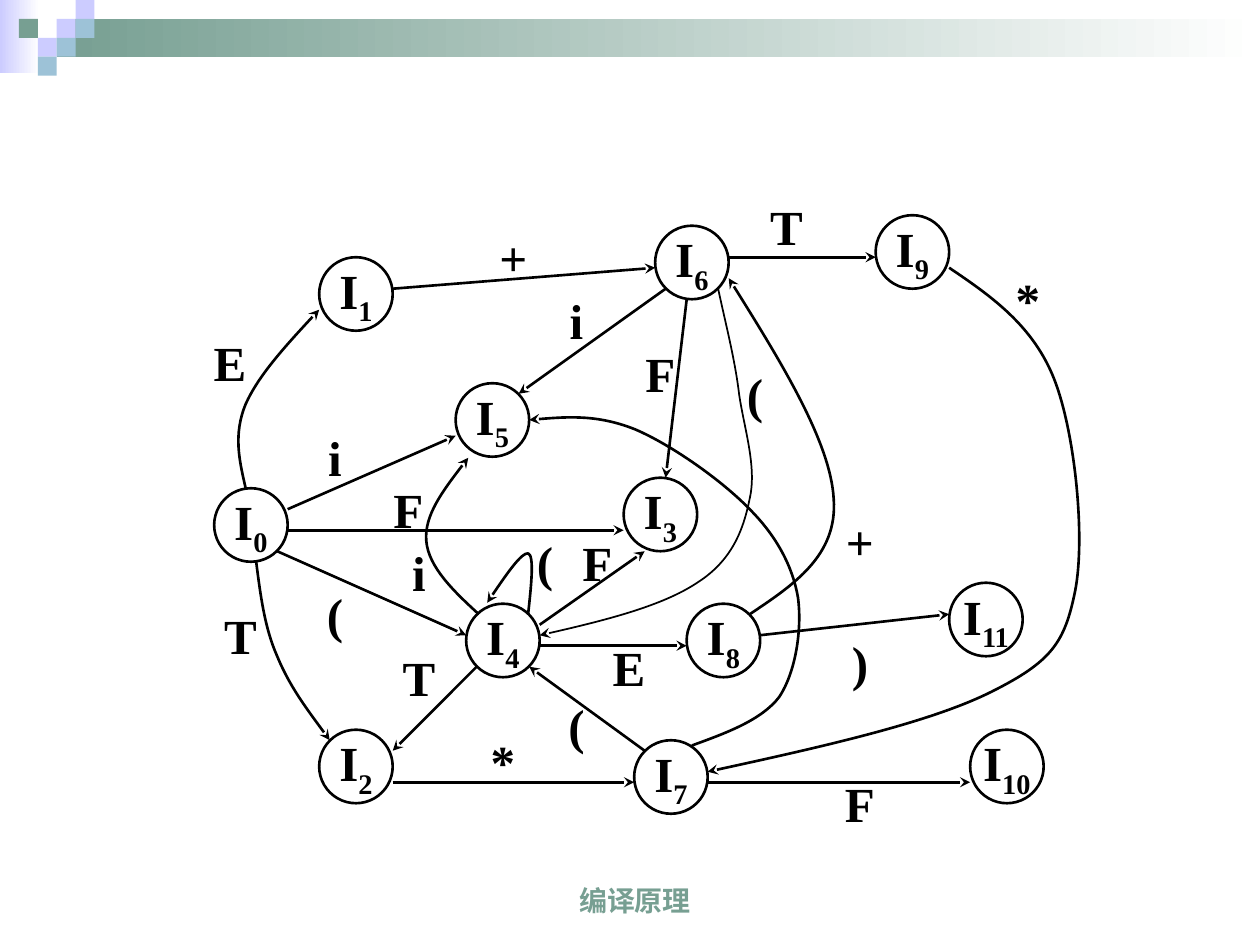
import lxml.etree
import pptx
import pptx.dml.color
import pptx.enum.shapes
import pptx.enum.text
import pptx.oxml
import pptx.oxml.ns
import pptx.util

THEME = {
    "ink": "000000", "green": "779F92", "lilac": "CCCCFF", "blue": "9DC2D7", "white": "FFFFFF",
    "diagram_font": "Times New Roman", "footer_font": "Arial",
    "diagram_size": 28, "footer_size": 16, "edge_width": 1.5, "thin_width": 1,
}
SHAPES = pptx.enum.shapes.MSO_SHAPE
ANCHOR = pptx.enum.text.MSO_ANCHOR
colour = pptx.dml.color.RGBColor.from_string
qn = pptx.oxml.ns.qn

deck = pptx.Presentation()
deck.slide_width = pptx.util.Inches(10)
deck.slide_height = pptx.util.Inches(7.5)
page = deck.slides.add_slide(deck.slide_layouts[6])

# The diagram sits on a grid of 120 columns by 90 rows, counted from its own corner.
CELL = deck.slide_width // 120
LEFT, TOP = 18.4 * CELL, 20.5 * CELL
NODE = 7 * CELL


def grid_point(column, row):
    return int(LEFT + column * CELL), int(TOP + row * CELL)


def write(box, text, subscript="", font=THEME["diagram_font"], size=THEME["diagram_size"],
          color=THEME["ink"], anchor=ANCHOR.MIDDLE, wrap=False):
    frame = box.text_frame
    frame.word_wrap = wrap
    frame.vertical_anchor = anchor
    para = frame.paragraphs[0]
    para.alignment = pptx.enum.text.PP_ALIGN.CENTER
    for part in filter(None, (text, subscript)):
        span = para.add_run()
        span.text = part
        span.font.name = font
        span.font.size = pptx.util.Pt(size)
        span.font.bold = True
        span.font.color.rgb = colour(color)
    if subscript:
        span.font._element.set("baseline", "-25000")


# Header: two fading bars and a mosaic of small squares.
tile = pptx.util.Inches(0.15)
bars = [
    (0, 0, deck.slide_width // 32, 3.87 * tile, "lilac"),
    (3 * tile, tile, deck.slide_width - 3 * tile, 2 * tile, "green"),
]
for left, top, width, height, tint in bars:
    bar = page.shapes.add_shape(SHAPES.RECTANGLE, left, top, width, int(height))
    bar.shadow.inherit = False
    bar.line.fill.background()
    bar.fill.gradient()
    bar.fill.gradient_angle = 0
    for stop, name in zip(bar.fill.gradient_stops, (tint, "white")):
        stop.color.rgb = colour(THEME[name])

mosaic = [(3, 1, "lilac"), (4, 0, "lilac"), (4, 1, "blue"), (2, 2, "lilac"),
          (1, 1, "green"), (3, 2, "blue"), (2, 3, "blue")]
for column, row, tint in mosaic:
    square = page.shapes.add_shape(SHAPES.RECTANGLE, column * tile, row * tile, tile, tile)
    square.shadow.inherit = False
    square.line.fill.background()
    square.fill.solid()
    square.fill.fore_color.rgb = colour(THEME[tint])

footer = page.shapes.add_textbox(*map(pptx.util.Inches, (3.27, 6.83, 3.54, 0.5)))
write(footer, "编译原理", font=THEME["footer_font"], size=THEME["footer_size"],
      color=THEME["green"], anchor=ANCHOR.BOTTOM, wrap=True)

# States, numbered in order.
states = [(2, 26), (12, 4), (12, 49), (41, 25), (26, 37), (25, 16),
          (44, 1), (42, 50), (47, 37), (65, 0), (74, 49), (72, 35)]
for number, corner in enumerate(states):
    state = page.shapes.add_shape(SHAPES.OVAL, *grid_point(*corner), NODE, NODE)
    state.shadow.inherit = False
    state.fill.background()
    state.line.color.rgb = colour(THEME["ink"])
    state.line.width = pptx.util.Pt(THEME["edge_width"])
    write(state, "I", subscript=str(number))

# Edges: two points make a straight arrow; more are a start and triples of Bezier points.
straight_edges = [
    [(9, 28), (25, 21)], [(9, 30), (41, 30)], [(8, 32), (26, 40)], [(27, 43), (19, 51)],
    [(43, 51), (32, 43)], [(19, 54), (42, 54)], [(49, 54), (74, 54)], [(19, 7), (44, 5)],
    [(51, 4), (65, 4)], [(33, 39), (43, 32)], [(33, 41), (47, 41)], [(45, 7), (31, 17)],
    [(47, 8), (45, 25)], [(54, 40), (72, 38)],
]
curved_edges = [
    [(5, 26), (4.4, 23.4), (3.8, 20.9), (5, 18), (6.2, 15.3), (9.1, 12.1), (12, 9)],
    [(6, 33), (6.4, 36.1), (6.8, 39.3), (8, 42), (9.2, 44.9), (11.1, 47.4), (13, 50)],
    [(27.2, 38), (24.8, 35.8), (22.4, 33.5), (22.2, 31), (22, 28.6), (24.1, 25.8), (26.2, 23.1)],
    [(31.9, 38), (32.2, 35.2), (32.5, 32.4), (31.9, 32.2), (31.3, 32.1), (29.6, 34.5), (28, 36.9)],
    [(47.5, 50.5), (50.8, 49.3), (54.1, 48.1), (55.8, 45.9), (57.4, 43.5), (58, 39.4),
     (57.6, 36.4), (57.1, 33.5), (55.6, 30.6), (53, 28), (50.4, 25.3), (45.6, 21.9),
     (42.1, 20.4), (38.6, 19), (35.2, 19.2), (32, 19.5)],
    [(53, 38), (57.2, 35.2), (61.4, 32.4), (61, 27), (60.7, 21.7), (55.9, 13.8), (51, 6)],
    [(72, 5), (76, 7.7), (80, 10.5), (82, 15.6), (84, 20.7), (85, 30.7), (84, 35.8),
     (83, 40.7), (81.8, 42.5), (76, 45.4), (70.2, 48.3), (59.6, 50.7), (49, 53)],
]
thin_edge = [(50, 7), (50.7, 10.3), (51.6, 13.7), (52, 17.1), (52.5, 20.4), (53.7, 24), (53, 27),
             (52.4, 30), (51.3, 32.9), (48, 35), (44.7, 37.2), (38.8, 38.7), (33, 40)]

for route in straight_edges + curved_edges + [thin_edge]:
    points = [grid_point(*point) for point in route]
    if len(points) == 2:
        edge = page.shapes.add_connector(
            pptx.enum.shapes.MSO_CONNECTOR.STRAIGHT, *points[0], *points[1])
    else:
        builder = page.shapes.build_freeform(*points[0])
        builder.add_line_segments(points[1:], close=False)
        edge = builder.convert_to_shape()
        edge.fill.background()
        outline = next(edge._element.iter(qn("a:path")))
        segments = outline.findall(qn("a:lnTo"))
        for first in range(0, len(segments), 3):
            curve = lxml.etree.SubElement(outline, qn("a:cubicBezTo"))
            for segment in segments[first:first + 3]:
                curve.append(segment[0])
                outline.remove(segment)
    edge.line.color.rgb = colour(THEME["ink"])
    edge.line.width = pptx.util.Pt(THEME["thin_width" if route is thin_edge else "edge_width"])
    lxml.etree.SubElement(edge.line._get_or_add_ln(), qn("a:tailEnd"), type="stealth")
    lxml.etree.SubElement(edge._element.spPr, qn("a:effectLst"))

# Symbols read along the edges: text, column, row, height in rows.
symbols = [
    ("E", 0, 11, 6), ("+", 27, 1, 6), ("T", 53, -2, 6), ("*", 76, 5, 6), ("T", 1, 37, 6),
    ("T", 18, 41, 6), ("i", 10, 20, 6), ("F", 17, 25, 6), ("(", 10, 35, 6), ("i", 18, 31, 6),
    ("(", 30, 30, 6), ("F", 35, 30, 6), ("E", 38, 40, 6), ("(", 50, 14, 6), ("F", 41, 12, 6),
    ("i", 33, 7, 6), ("+", 60, 28, 6), ("F", 60, 53, 6), ("*", 26, 50, 4), ("(", 33, 46, 5),
    (")", 60, 40, 5),
]
for symbol, column, row, rows in symbols:
    label = page.shapes.add_textbox(*grid_point(column, row), NODE, rows * CELL)
    write(label, symbol)

deck.save("out.pptx")
